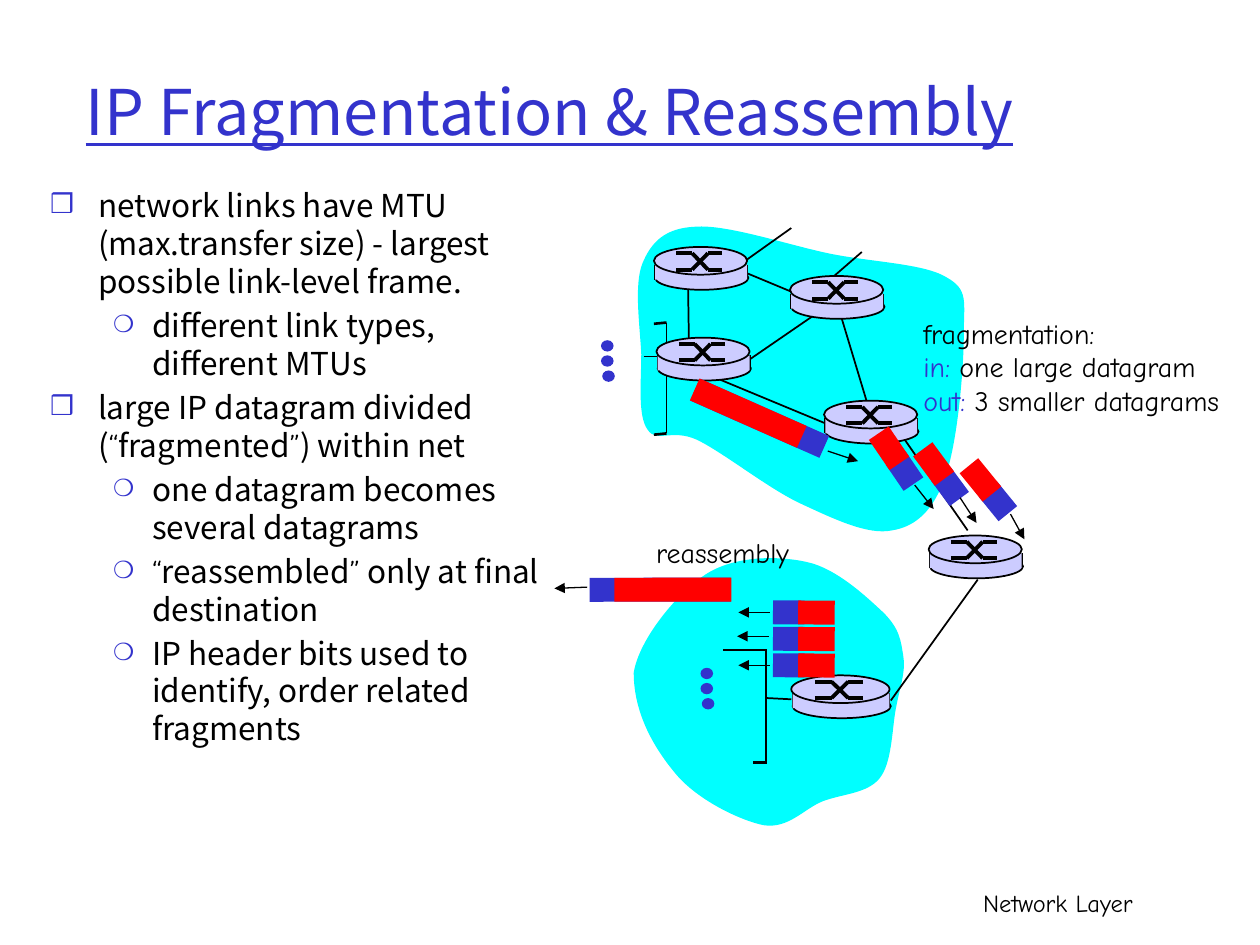
import math

from lxml import etree
from pptx import Presentation, util as u
from pptx.dml.color import RGBColor
from pptx.enum import shapes, text
from pptx.oxml import ns

BLUE = RGBColor(0x33, 0x33, 0xCC)
BLACK = RGBColor(0, 0, 0)
CYAN = RGBColor(0, 0xFF, 0xFF)
LILAC = RGBColor(0xCC, 0xCC, 0xFF)
RED = RGBColor(0xFF, 0, 0)
SANS, HAND = "Noto Sans CJK KR", "Comic Neue"
RECT, OVAL = shapes.MSO_SHAPE.RECTANGLE, shapes.MSO_SHAPE.OVAL


def add_xml(parent, tag, **attributes):
    return etree.SubElement(parent, ns.qn(tag), **attributes)


def set_bullet(paragraph, level):
    char, size, left, hang = [("❒", 85, 0.38, 0.38), ("❍", 75, 0.81, 0.31)][level]
    props = paragraph._p.get_or_add_pPr()
    props.set("marL", str(u.Inches(left)))
    props.set("indent", str(-u.Inches(hang)))
    add_xml(add_xml(props, "a:buClr"), "a:srgbClr", val=str(BLUE))
    add_xml(props, "a:buSzPct", val=str(size * 1000))
    add_xml(props, "a:buFont", typeface=HAND)
    add_xml(props, "a:buChar", char=char)


def write(paragraph, *runs, font=SANS, size=18, color=BLACK, underline=None, align=None):
    """Each run is a string, or a pair of a string and its own font or colour."""
    paragraph.alignment = align
    for part in runs:
        words, own = (part, None) if isinstance(part, str) else part
        run = paragraph.add_run()
        run.text = words
        run.font.name = own if isinstance(own, str) else font
        run.font.size = u.Pt(size)
        run.font.color.rgb = own if isinstance(own, RGBColor) else color
        run.font.underline = underline


def bend(freeform):
    """Turn every three line segments into one cubic curve."""
    segments = list(freeform._element.iter(ns.qn("a:lnTo")))
    for first, second, third in zip(segments[::3], segments[1::3], segments[2::3]):
        curve = etree.Element(ns.qn("a:cubicBezTo"))
        first.addprevious(curve)
        for segment in (first, second, third):
            curve.append(segment[0])
            segment.getparent().remove(segment)


class NetworkSlide:
    """The current slide and the look of its elements."""

    def __init__(self, deck, line_color=BLACK, thickness=0.19):
        self.slide = deck.slides.add_slide(deck.slide_layouts[5])
        self.items = self.slide.shapes
        self.line_color = line_color
        self.thickness = thickness

    def group(self, draw, *args, **options):
        """Draw one element with its parts held in a group."""
        self.items = self.slide.shapes.add_group_shape().shapes
        draw(*args, **options)
        self.items = self.slide.shapes

    def title(self, words, left, top, width, height):
        title = self.items.title
        title.left, title.top = u.Inches(left), u.Inches(top)
        title.width, title.height = u.Inches(width), u.Inches(height)
        title.text_frame.vertical_anchor = text.MSO_ANCHOR.MIDDLE
        write(title.text_frame.paragraphs[0], words, size=36, color=BLUE,
              underline=True, align=text.PP_ALIGN.LEFT)

    def frame(self, left, top, width, height, wrap=False):
        box = self.items.add_textbox(*map(u.Inches, (left, top, width, height)))
        box.text_frame.word_wrap = wrap
        return box.text_frame

    def label(self, lines, *place, **style):
        frame = self.frame(*place)
        for i, runs in enumerate(lines):
            write(frame.add_paragraph() if i else frame.paragraphs[0],
                  *runs, font=HAND, **style)

    def bullets(self, items, *place):
        frame = self.frame(*place, wrap=True)
        for i, (level, *runs) in enumerate(items):
            paragraph = frame.add_paragraph() if i else frame.paragraphs[0]
            paragraph.level = level
            if i:
                paragraph.space_before = u.Pt(3.6)
            set_bullet(paragraph, level)
            write(paragraph, *runs)

    def paint(self, item, fill, outlined=False):
        item.shadow.inherit = False
        item.fill.solid()
        item.fill.fore_color.rgb = fill
        if outlined:
            item.line.color.rgb = self.line_color
            item.line.width = u.Pt(1)
        else:
            item.line.fill.background()

    def shape(self, kind, left, top, width, height, fill, outlined=False, angle=0):
        item = self.items.add_shape(kind, *map(u.Inches, (left, top, width, height)))
        item.rotation = angle
        self.paint(item, fill, outlined)

    def cloud(self, start, curves):
        """Each curve gives two control points and an end point."""
        builder = self.items.build_freeform(*map(u.Inches, start))
        builder.add_line_segments([(u.Inches(x), u.Inches(y)) for curve in curves
                                   for x, y in zip(curve[::2], curve[1::2])], close=True)
        cloud = builder.convert_to_shape()
        bend(cloud)
        self.paint(cloud, CYAN)

    def line(self, x1, y1, x2, y2, weight=1, arrow=False):
        link = self.items.add_connector(shapes.MSO_CONNECTOR.STRAIGHT,
                                        *map(u.Inches, (x1, y1, x2, y2)))
        link.line.color.rgb = self.line_color
        link.line.width = u.Pt(weight)
        if arrow:
            add_xml(link.line._get_or_add_ln(), "a:tailEnd", type="triangle")
        add_xml(link._element.spPr, "a:effectLst")

    def arrow(self, *ends):
        self.line(*ends, weight=0.75, arrow=True)

    def dots(self, left, top):
        for i, nudge in enumerate((0, 0, 0.01)):
            self.shape(OVAL, left + nudge, top + 0.12 * i, 0.1, 0.09, BLUE)

    def router(self, left, top, width=0.74):
        self.shape(OVAL, left + 0.01, top + 0.15, width, 0.19, LILAC, outlined=True)
        for x in (left + 0.01, left + width):
            self.line(x, top + 0.14, x, top + 0.26)
        self.shape(RECT, left + 0.01, top + 0.14, width - 0.01, 0.12, LILAC)
        self.shape(OVAL, left, top, width, 0.22, LILAC, outlined=True)
        a, b, c, d = (left + width * part for part in (0.24, 0.41, 0.58, 0.73))
        high, low = top + 0.05, top + 0.18
        for y, opposite in ((high, low), (low, high)):
            self.line(a, y, b, y, 2.25)
            self.line(b, y, c, opposite, 2.25)
            self.line(c, y, d, y, 2.25)

    def datagram(self, x, y, angle, header=0.25, payload=0.29, shift=0.22):
        """Blue header centred on x, y; red payload shifted back along the angle."""
        turn = math.radians(angle)
        back_x, back_y = x - shift * math.cos(turn), y - shift * math.sin(turn)
        for cx, cy, length, fill in ((x, y, header, BLUE), (back_x, back_y, payload, RED)):
            self.shape(RECT, cx - length / 2, cy - self.thickness / 2,
                       length, self.thickness, fill, angle=angle)


def main():
    deck = Presentation()
    deck.slide_width, deck.slide_height = u.Inches(10), u.Inches(7.5)
    page = NetworkSlide(deck)

    page.label([["Network Layer"]], 5.92, 7, 3.17, 0.5, size=14, align=text.PP_ALIGN.RIGHT)
    page.title("IP Fragmentation & Reassembly", 0.58, 0.25, 8.5, 1.25)
    opening, closing = ("“", HAND), ("”", HAND)
    page.bullets([
        (0, "network links have MTU (max.transfer size) - largest possible link-level frame."),
        (1, "different link types, different MTUs"),
        (0, "large IP datagram divided (", opening, "fragmented", closing, ") within net"),
        (1, "one datagram becomes several datagrams"),
        (1, opening, "reassembled", closing, " only at final destination"),
        (1, "IP header bits used to identify, order related fragments"),
    ], 0.3, 1.43, 4.17, 5.08)

    page.cloud((5.52, 1.8), [
        (5.28, 1.81, 5.17, 1.92, 5.1, 2.09), (5.03, 2.26, 5.08, 2.59, 5.09, 2.81),
        (5.09, 3.03, 5.06, 3.3, 5.14, 3.41), (5.21, 3.52, 5.33, 3.4, 5.53, 3.49),
        (5.74, 3.59, 6.1, 3.88, 6.36, 4), (6.62, 4.12, 6.89, 4.25, 7.08, 4.21),
        (7.27, 4.18, 7.41, 4.05, 7.5, 3.79), (7.6, 3.53, 7.65, 2.92, 7.65, 2.66),
        (7.65, 2.39, 7.69, 2.3, 7.51, 2.2), (7.33, 2.09, 6.9, 2.08, 6.57, 2.01),
        (6.24, 1.94, 5.77, 1.78, 5.52, 1.8)])
    page.cloud((5.03, 5.34), [
        (5.07, 5.08, 5.37, 4.71, 5.6, 4.56), (5.83, 4.41, 6.17, 4.41, 6.4, 4.46),
        (6.64, 4.51, 6.88, 4.74, 7.01, 4.86), (7.14, 4.99, 7.15, 5.08, 7.17, 5.21),
        (7.19, 5.34, 7.14, 5.46, 7.11, 5.63), (7.08, 5.79, 7.08, 6.06, 6.98, 6.18),
        (6.88, 6.3, 6.69, 6.3, 6.53, 6.36), (6.38, 6.42, 6.26, 6.58, 6.06, 6.55),
        (5.87, 6.51, 5.54, 6.35, 5.37, 6.15), (5.2, 5.95, 5.03, 5.67, 5.03, 5.34)])

    for bracket_end in ((5.19, 2.57, 5.29, 2.56), (5.19, 3.45, 5.29, 3.44),
                        (5.74, 5.16, 6.09, 5.16), (5.98, 6.05, 6.09, 6.05)):
        page.line(*bracket_end, weight=1.5)
    page.group(page.dots, 4.77, 2.7)
    page.group(page.dots, 5.56, 5.3)
    for link in ((5.29, 2.56, 5.29, 3.44), (5.11, 2.83, 5.25, 2.83),
                 (5.74, 2.09, 6.46, 2.39), (6.66, 2.46, 6.88, 3.19),
                 (5.46, 2.21, 5.47, 2.85), (5.49, 2.92, 6.55, 3.36),
                 (7.68, 4.21, 7.16, 3.46), (6.58, 2.42, 5.75, 2.99),
                 (6.28, 1.81, 5.76, 2.18), (6.84, 2, 6.54, 2.26),
                 (6.08, 5.16, 6.08, 6.05), (6.08, 5.54, 6.28, 5.55),
                 (7.76, 4.6, 7.07, 5.56)):
        page.line(*link)
    for left, top in ((5.19, 1.96), (5.21, 2.68), (6.27, 2.19), (6.54, 3.18), (7.37, 4.25)):
        page.group(page.router, left, top)
    page.group(page.router, 6.28, 5.36, width=0.78)

    large = dict(header=1.12, payload=0.93, shift=0.1)
    page.group(page.datagram, 6.03, 3.32, 23.9, **large)
    for x, y, angle in ((7.18, 3.74, 55.8), (7.54, 3.86, 53.6), (7.92, 3.98, 50.9)):
        page.group(page.datagram, x, y, angle)
    for row in range(3):
        page.group(page.datagram, 6.26, 4.86 + 0.21 * row, 180.4)
    page.group(page.datagram, 5.24, 4.68, 179.9, **large)
    for ends in ((6.57, 3.58, 6.81, 3.66), (7.26, 3.85, 7.41, 4.04),
                 (7.62, 3.95, 7.75, 4.15), (8.02, 4.08, 8.13, 4.28),
                 (6.11, 4.86, 5.86, 4.86), (6.1, 5.05, 5.85, 5.05),
                 (6.11, 5.28, 5.86, 5.28), (4.66, 4.66, 4.4, 4.67)):
        page.arrow(*ends)

    page.label([["fragmentation:"], [("in:", BLUE), " one large datagram"],
                [("out:", BLUE), " 3 smaller datagrams"]], 7.23, 2.46, 2.77, 0.9, size=16)
    page.label([["reassembly"]], 5.11, 4.2, 1.36, 0.37, size=16)
    deck.save("out.pptx")


if __name__ == "__main__":
    main()
